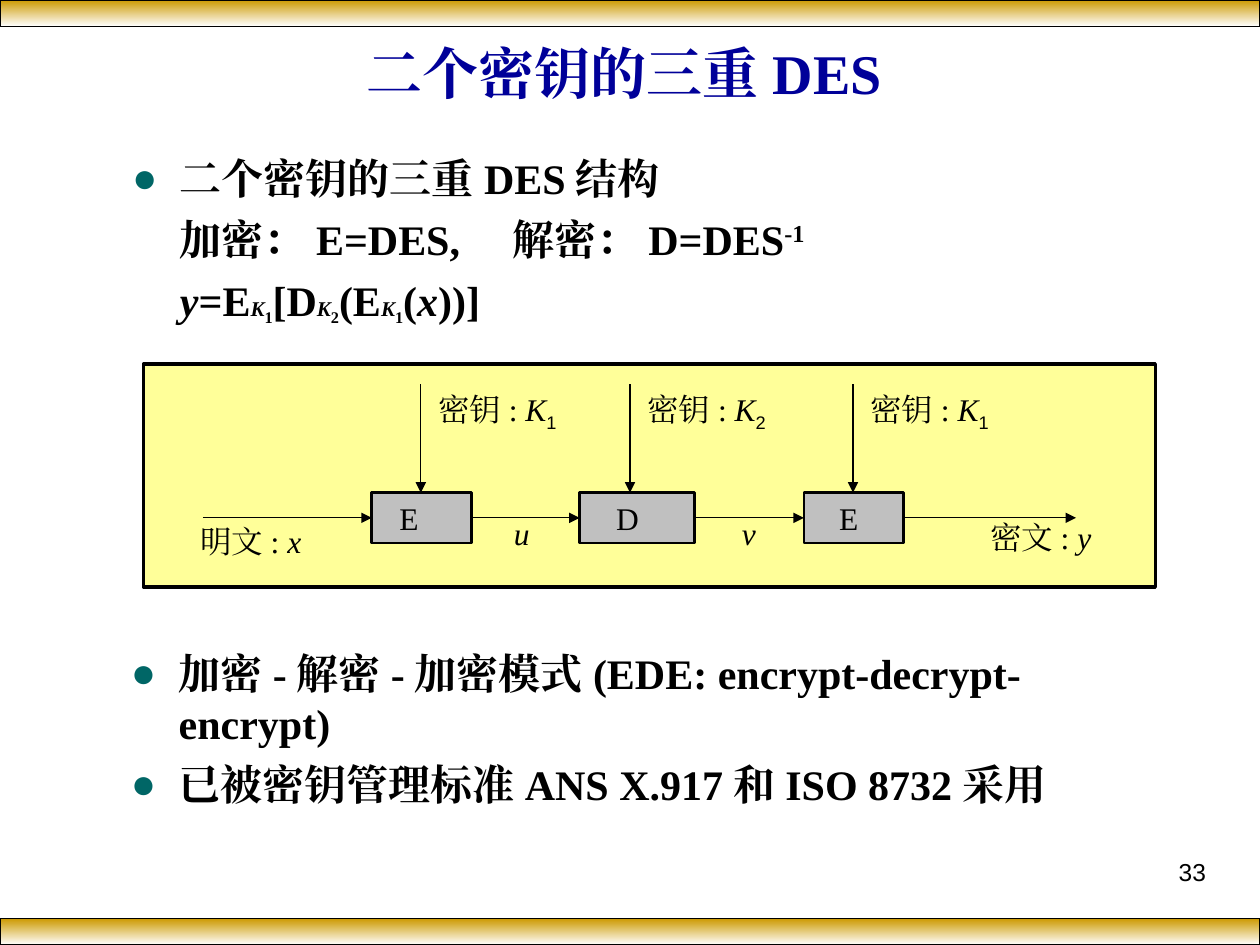
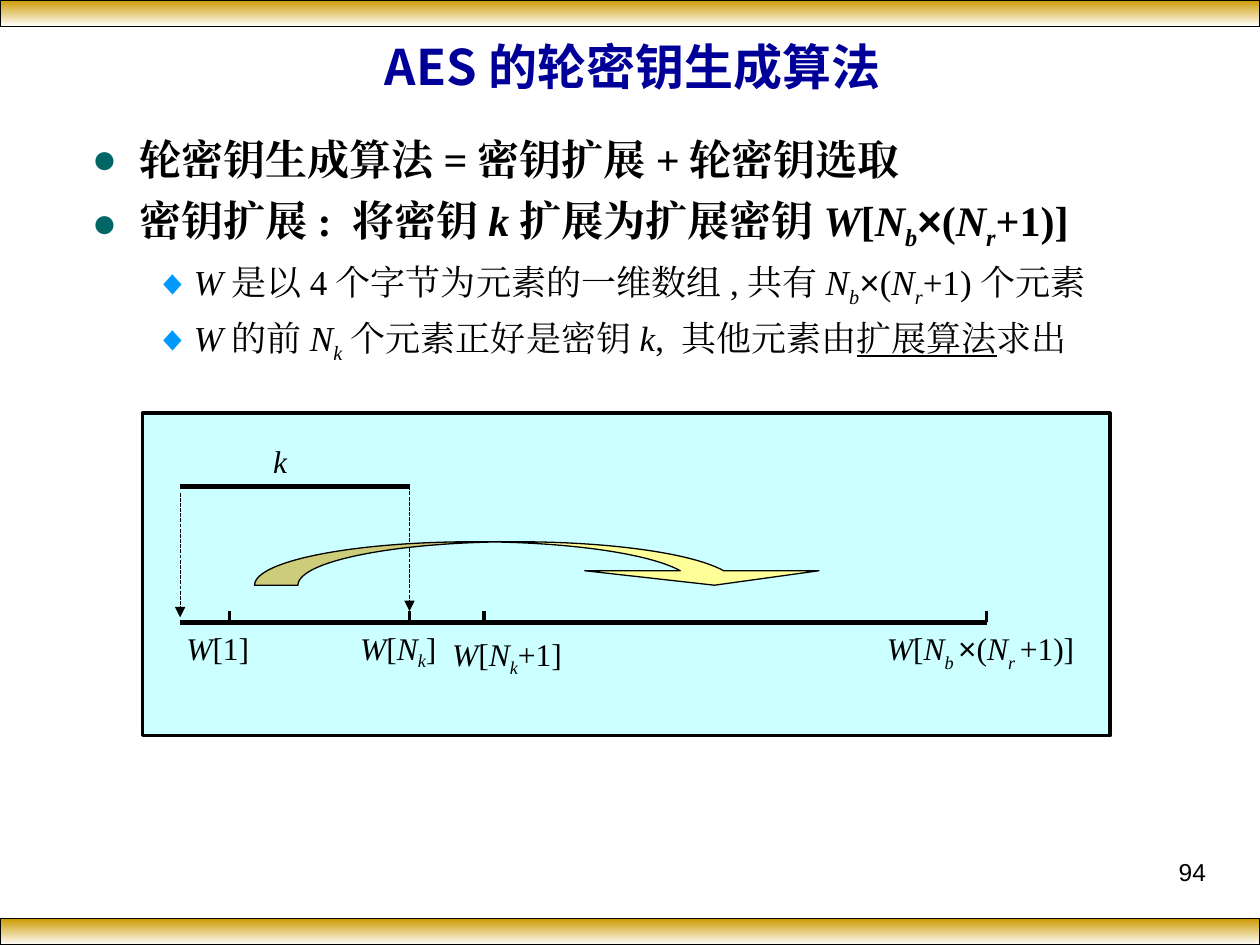
import pptx
import pptx.dml.color
import pptx.enum.dml
import pptx.enum.shapes
import pptx.enum.text
import pptx.oxml.ns
import pptx.util
from lxml import etree

Inches = pptx.util.Inches
Pt = pptx.util.Pt
SHAPES = pptx.enum.shapes.MSO_SHAPE
ALIGN = pptx.enum.text.PP_ALIGN
ANCHOR = pptx.enum.text.MSO_ANCHOR

THEME = {
    "black": "000000", "white": "FFFFFF", "gold": "CC9900", "title": "000099",
    "yellow": "FFFF99", "cyan": "CCFFFF", "gray": "C0C0C0",
    "serif": "Times New Roman", "sans": "Arial", "cjk": "Noto Sans CJK SC",
    "label_size": 18, "number_size": 14,
}

# Paragraph levels: bullet, bullet colour, margin, indent, space before, font
LEVELS = {
    "point": ("●", "006666", 0.38, -0.38, 6, {"size": 24, "bold": True}),
    "plain": (None, None, 0.38, 0, 6, {"size": 24, "bold": True}),
    "detail": ("◆", "0099FF", 0.81, -0.31, 5, {"size": 20, "bold": False}),
}

# Span styles; a span is a string or (string, "style style ...")
STYLES = {
    "i": {"italic": True},
    "u": {"underline": True},
    "arial": {"name": THEME["sans"]},
    "small": {"size": 12},
    "mid": {"size": 16},
    "sub": {"baseline": -25},
    "low": {"baseline": -30},
    "sup": {"baseline": 30},
}


def indexed(name, index):
    return [(name, "i"), (index, "i sub")]


ROUND_KEYS = [*indexed("N", "b"), ("×", "arial"), "(", *indexed("N", "r")]
KEY_1 = [("K", "small i"), ("1", "mid sub")]
KEY_2 = [("K", "small i"), ("2", "mid sub")]

DES = {
    "title": ("二个密钥的三重DES", (0.59, 0.21, 8.73, 0.73), THEME["serif"], 32),
    "number": "33",
    "texts": [
        ((0.95, 1.16, 8.62, 1.48), [
            ("point", ["二个密钥的三重DES结构"]),
            ("plain", ["加密：E=DES,　解密：D=DES", ("-1", "sup")]),
            ("plain", [("y", "i"), "=E", *KEY_1, "[D", *KEY_2, "(E", *KEY_1,
                       "(", ("x", "i"), "))]"]),
        ]),
        ((0.94, 5.09, 8.35, 1.39), [
            ("point", ["加密-解密-加密模式(EDE: encrypt-decrypt-encrypt)"]),
            ("point", ["已被密钥管理标准ANS X.917和ISO 8732采用"]),
        ]),
    ],
    "frame": ((1.14, 2.89, 8.03, 1.77), THEME["yellow"]),
    # letter, left, width, text inset, key number, key arrow x
    "stages": [("E", 2.95, 0.79, 0.22, "1", 3.34),
               ("D", 4.6, 0.91, 0.29, "2", 5.0),
               ("E", 6.38, 0.79, 0.28, "1", 6.77)],
    "flow": (1.61, 8.54),
    "labels": [
        ((1.49, 4.09, 1.14, 0.4), ["明文: ", ("x", "i")]),
        ((3.98, 4.03, 0.63, 0.4), [("u", "i")]),
        ((5.79, 4.03, 0.63, 0.4), [("v", "i")]),
        ((7.76, 4.06, 1.14, 0.4), ["密文: ", ("y", "i")]),
    ],
}

AES = {
    "title": ("AES的轮密钥生成算法", (0.52, 0.25, 9, 0.55), THEME["cjk"], 28),
    "number": "94",
    "texts": [
        ((0.63, 1.01, 8.79, 1.94), [
            ("point", ["轮密钥生成算法=密钥扩展+轮密钥选取"]),
            ("point", ["密钥扩展: 将密钥", ("k", "i"), "扩展为扩展密钥",
                       ("W", "i"), "[", *ROUND_KEYS, "+1)]"]),
            ("detail", [("W", "i"), "是以4个字节为元素的一维数组,共有",
                        *ROUND_KEYS, "+1)个元素"]),
            ("detail", [("W", "i"), "的前", *indexed("N", "k"),
                        "个元素正好是密钥", ("k", "i"), ", 其他元素由",
                        ("扩展算法", "u"), "求出"]),
        ]),
    ],
    "frame": ((1.13, 3.28, 7.68, 2.56), THEME["cyan"]),
    "key": (1.43, 3.25, 3.86),
    "array": (1.43, 7.83, 4.94),
    "ticks": [1.82, 3.25, 3.84, 7.83],
    "arrow": (2.02, 4.3, 4.58, 0.345),
    "arrow_sizes": {"shaft": 0.94, "head": 1.86, "tip": 0.115},
    "labels": [
        ((2.07, 3.46, 0.39, 0.4), [("k", "i")]),
        ((1.38, 4.94, 0.79, 0.4), [("W", "i"), "[1]"]),
        ((2.76, 4.94, 0.93, 0.44), [("W", "i"), "[", *indexed("N", "k"), "]"]),
        ((3.49, 4.99, 1.18, 0.44), [("W", "i"), "[", *indexed("N", "k"), "+1]"]),
        ((6.94, 4.94, 1.97, 0.46),
         [("W", "i"), "[", ("N", "i"), ("b ", "i low"), ("×", "arial"), "(",
          ("N", "i"), ("r ", "i low"), "+1)]"]),
    ],
}


def color(value):
    return pptx.dml.color.RGBColor.from_string(value)


def add_xml(parent, tag, **attributes):
    return etree.SubElement(parent, pptx.oxml.ns.qn(tag), attributes)


def write_spans(para, spans, **base):
    for item in spans:
        text, names = (item, "") if isinstance(item, str) else item
        values = {"name": THEME["serif"], "size": THEME["label_size"], **base}
        for name in names.split():
            values.update(STYLES[name])
        span = para.add_run()
        span.text = text
        span.font.color.rgb = color(values.pop("color", THEME["black"]))
        properties = span._r.get_or_add_rPr()
        if "baseline" in values:
            properties.set("baseline", str(values.pop("baseline") * 1000))
        values["size"] = Pt(values["size"])
        for key, value in values.items():
            setattr(span.font, key, value)
        add_xml(properties, "a:ea", typeface=values["name"])


def set_frame(box, **values):
    frame = box.text_frame
    defaults = {"word_wrap": True, "vertical_anchor": ANCHOR.TOP}
    for key, value in {**defaults, **values}.items():
        setattr(frame, key, value)
    return frame


def add_text(page, at, spans, align=ALIGN.LEFT, anchor=ANCHOR.TOP, **base):
    box = page.shapes.add_textbox(*map(Inches, at))
    para = set_frame(box, vertical_anchor=anchor).paragraphs[0]
    para.alignment = align
    write_spans(para, spans, **base)


def add_body(page, at, paragraphs):
    frame = set_frame(page.shapes.add_textbox(*map(Inches, at)))
    for index, (level, spans) in enumerate(paragraphs):
        bullet, tint, margin, indent, before, font = LEVELS[level]
        para = frame.add_paragraph() if index else frame.paragraphs[0]
        if index:
            para.space_before = Pt(before)
        properties = para._p.get_or_add_pPr()
        properties.set("marL", str(Inches(margin)))
        properties.set("indent", str(Inches(indent)))
        if bullet:
            add_xml(add_xml(properties, "a:buClr"), "a:srgbClr", val=tint)
            add_xml(properties, "a:buFont", typeface=THEME["sans"])
            add_xml(properties, "a:buChar", char=bullet)
        write_spans(para, spans, **font)


def add_block(page, kind, at, fill, weight):
    """Add a preset shape; a pair of fill colours makes a downward gradient."""
    block = page.shapes.add_shape(kind, *map(Inches, at))
    block.shadow.inherit = False
    if isinstance(fill, tuple):
        block.fill.gradient()
        block.fill.gradient_angle = 270
        for stop, tint in zip(block.fill.gradient_stops, fill):
            stop.color.rgb = color(tint)
    else:
        block.fill.solid()
        block.fill.fore_color.rgb = color(fill)
    block.line.color.rgb = color(THEME["black"])
    block.line.width = Pt(weight)
    return block


def add_line(page, start, end, weight=0.75, arrow=False, dash=None):
    line = page.shapes.add_connector(
        pptx.enum.shapes.MSO_CONNECTOR.STRAIGHT, *map(Inches, (*start, *end)))
    line.line.color.rgb = color(THEME["black"])
    line.line.width = Pt(weight)
    if dash:
        line.line.dash_style = dash
    if arrow:
        add_xml(line.line._get_or_add_ln(), "a:tailEnd", type="triangle")
    add_xml(line._element.spPr, "a:effectLst")


def add_page(deck, content):
    """Add a slide with bands, number, title, body text and diagram frame."""
    page = deck.slides.add_slide(deck.slide_layouts[6])
    for top in (0, 7.29):
        add_block(page, SHAPES.RECTANGLE, (0, top, 10, 0.21),
                  (THEME["gold"], THEME["white"]), 0.75)
    add_text(page, (7.17, 6.75, 2.5, 0.52), [content["number"]], ALIGN.RIGHT,
             name=THEME["sans"], size=THEME["number_size"])
    title, at, face, size = content["title"]
    add_text(page, at, [title], ALIGN.CENTER, ANCHOR.MIDDLE, name=face,
             size=size, bold=True, color=THEME["title"])
    for at, paragraphs in content["texts"]:
        add_body(page, at, paragraphs)
    at, fill = content["frame"]
    add_block(page, SHAPES.RECTANGLE, at, fill, 2)
    for at, spans in content["labels"]:
        add_text(page, at, spans)
    return page


def draw_cipher_chain(page, content):
    key_top, top, height = 3.05, 3.91, 0.4
    middle = top + height / 2
    start, finish = content["flow"]
    for letter, left, width, inset, number, key_x in content["stages"]:
        block = add_block(page, SHAPES.RECTANGLE, (left, top, width, height),
                          THEME["gray"], 1.5)
        para = set_frame(block, margin_left=Inches(inset)).paragraphs[0]
        para.alignment = ALIGN.LEFT
        write_spans(para, [letter])
        add_line(page, (key_x, key_top), (key_x, top), arrow=True)
        add_text(page, (key_x + 0.04, key_top, 1.38, 0.44),
                 ["密钥: ", ("K", "i"), (number, "arial sub")])
        add_line(page, (start, middle), (left, middle), arrow=True)
        start = left + width
    add_line(page, (start, middle), (finish, middle), arrow=True)


def draw_key_expansion(page, content):
    key_left, key_right, key_y = content["key"]
    left, right, axis_y = content["array"]
    tick_top = axis_y - 0.09
    add_line(page, (key_left, key_y), (key_right, key_y), 3)
    add_line(page, (left, axis_y), (right, axis_y), 3)
    for x in content["ticks"]:
        add_line(page, (x, tick_top), (x, axis_y), 2)
    for x, shift in ((key_left, 0.05), (key_right, 0)):
        add_line(page, (x, key_y + shift), (x, tick_top + shift), arrow=True,
                 dash=pptx.enum.dml.MSO_LINE.SQUARE_DOT)
    arrow = add_block(page, SHAPES.CURVED_DOWN_ARROW, content["arrow"],
                      THEME["yellow"], 0.75)
    for index, size in enumerate(content["arrow_sizes"].values()):
        arrow.adjustments[index] = size / content["arrow"][3]


def main():
    deck = pptx.Presentation()
    deck.slide_width, deck.slide_height = Inches(10), Inches(7.5)
    draw_cipher_chain(add_page(deck, DES), DES)
    draw_key_expansion(add_page(deck, AES), AES)
    deck.save("out.pptx")


if __name__ == "__main__":
    main()
